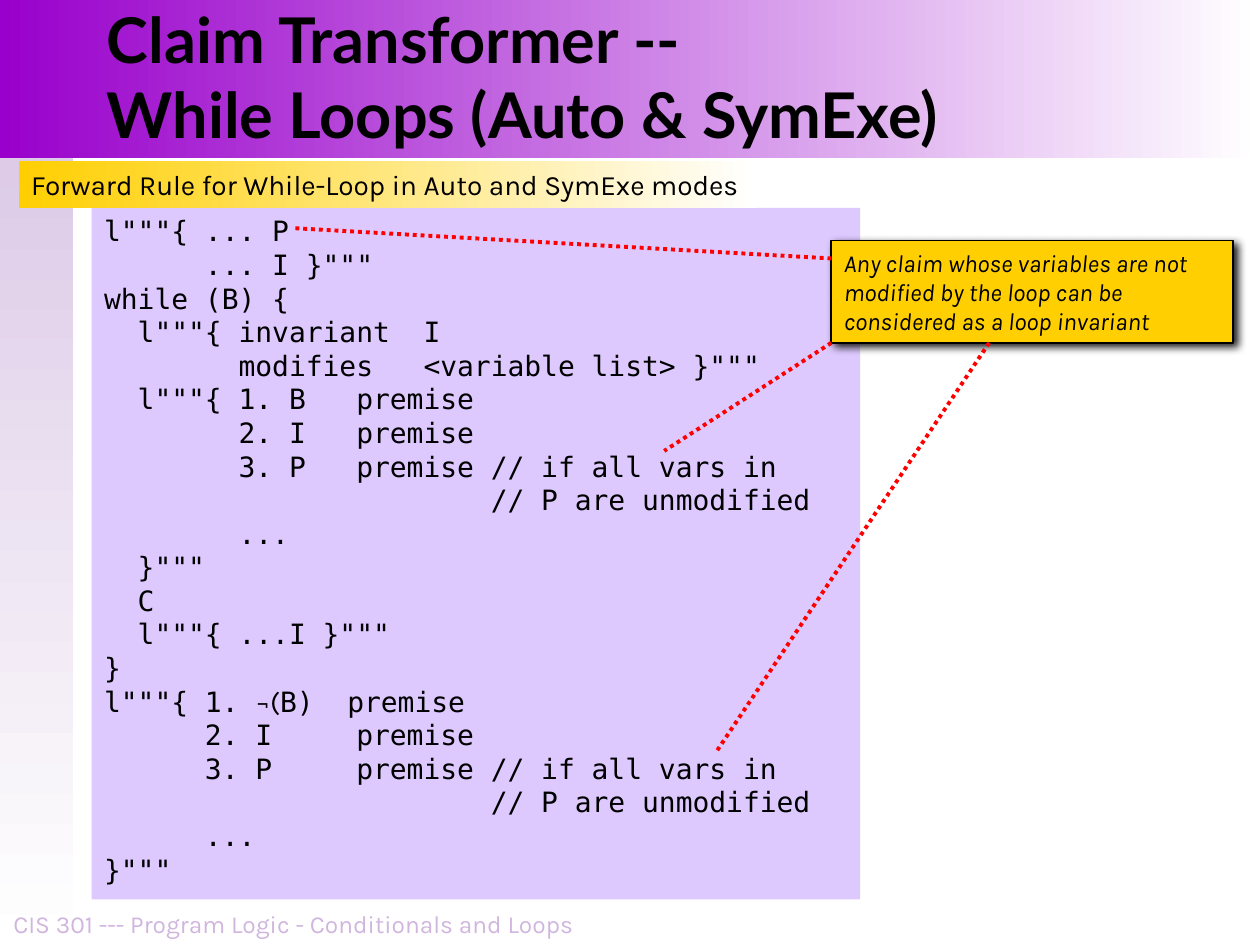
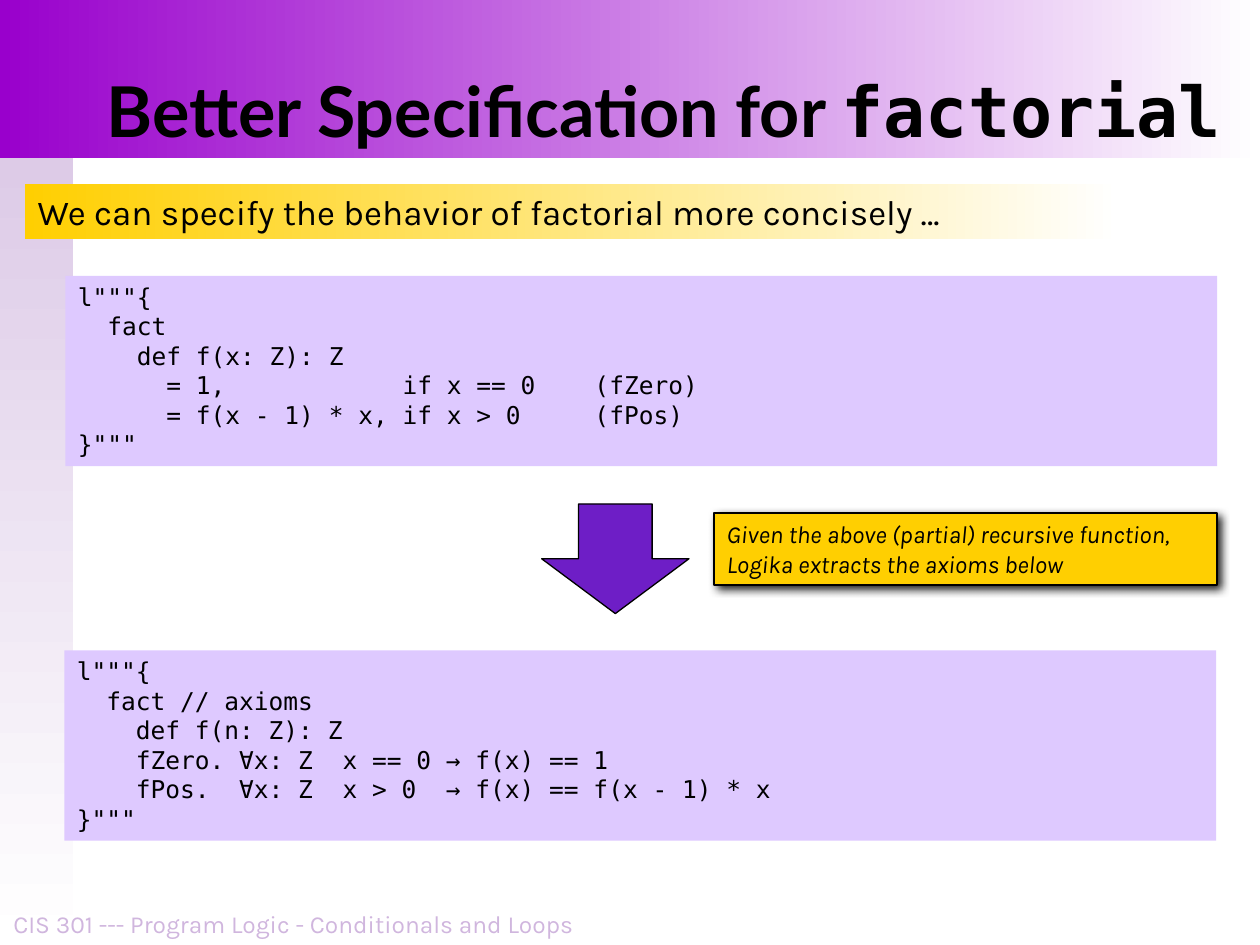
from lxml.etree import SubElement
from pptx import Presentation
from pptx.dml.color import RGBColor
from pptx.enum.dml import MSO_LINE_DASH_STYLE as Dash
from pptx.enum.shapes import MSO_CONNECTOR as Connector, MSO_SHAPE as Preset
from pptx.enum.text import MSO_ANCHOR as Anchor, MSO_AUTO_SIZE as AutoSize, PP_ALIGN as Align
from pptx.oxml.ns import qn
from pptx.util import Cm, Pt

# Shared look
SANS, MONO, TITLE_FONT = "Karla", "DejaVu Sans Mono", "Lato"
BLACK, WHITE, RED = "000000", "FFFFFF", "FF0000"
GOLD, LILAC, PURPLE = "FFCF01", "DEC9FF", "6E1EC6"
HEADER_PURPLE, SIDEBAR_LILAC, FOOTER_LILAC = "9900CC", "DDCBE7", "D0B6DE"
WIDTH, HEIGHT, HEADER_HEIGHT = 25.4, 19.05, 3.18
FOOTER = "CIS 301 --- Program Logic - Conditionals and Loops"


def color(hex_string):
    return RGBColor.from_string(hex_string)


def write(shape, text, font, size, ink=BLACK, bold=False, italic=False,
          align=Align.LEFT, anchor=Anchor.TOP, wrap=True, swap=None):
    """Set and format the text; swap = (words, font) sets some words in another font."""
    frame = shape.text_frame
    frame.text = text
    frame.word_wrap, frame.auto_size = wrap, AutoSize.NONE
    frame.vertical_anchor = anchor
    words, other_font = swap or (None, font)
    for paragraph, line in zip(frame.paragraphs, text.split("\n")):
        paragraph.alignment = align
        if words and words in line:
            before, _, after = line.partition(words)
            paragraph.text = before
            for part in filter(None, (words, after)):
                paragraph.add_run().text = part
        for run in paragraph.runs:
            run.font.name = other_font if run.text == words else font
            run.font.size = Pt(size)
            run.font.bold, run.font.italic = bold, italic
            run.font.color.rgb = color(ink)


def add_block(slide, box, fill, preset=Preset.RECTANGLE, outline=None):
    """Preset shape with a plain fill and, if given, a black outline of that width."""
    shape = slide.shapes.add_shape(preset, *map(Cm, box))
    shape.shadow.inherit = False
    shape.fill.solid()
    shape.fill.fore_color.rgb = color(fill)
    if outline:
        shape.line.width = Pt(outline)
        shape.line.color.rgb = color(BLACK)
    else:
        shape.line.fill.background()
    return shape


def add_fade(slide, box, start, angle=0):
    """Rectangle that fades from a colour to white."""
    shape = add_block(slide, box, start)
    shape.fill.gradient()
    shape.fill.gradient_angle = angle
    for stop, shade in zip(shape.fill.gradient_stops, (start, WHITE)):
        stop.color.rgb = color(shade)
    return shape


def add_bands(slide):
    """Side and header bands, placed on the layout behind everything else."""
    sidebar = add_fade(slide, (0, HEADER_HEIGHT, 1.48, HEIGHT - HEADER_HEIGHT),
                       SIDEBAR_LILAC, angle=270)
    header = add_fade(slide, (0, 0, WIDTH, HEADER_HEIGHT), HEADER_PURPLE)
    layout_tree = slide.slide_layout.shapes._spTree
    for position, band in enumerate((sidebar, header), start=2):
        layout_tree.insert(position, band._element)


def add_title_slide(presentation, title_text, size, width, swap=None):
    """Title-only slide with its title and footer."""
    slide = presentation.slides.add_slide(presentation.slide_layouts[5])
    title = slide.shapes.title
    title.left, title.top, title.width, title.height = map(
        Cm, (1.9, 0, width, HEADER_HEIGHT))
    write(title, title_text, TITLE_FONT, size, bold=True, anchor=Anchor.BOTTOM, swap=swap)
    footer = slide.shapes.add_textbox(*map(Cm, (0, 18.21, 11.84, 0.84)))
    write(footer, FOOTER, SANS, 14, FOOTER_LILAC, align=Align.CENTER,
          anchor=Anchor.BOTTOM, wrap=False)
    return slide


def add_heading(slide, box, text, size):
    write(add_fade(slide, box, GOLD), text, SANS, size)


def add_code(slide, box, code, size, swap=None):
    write(add_block(slide, box, LILAC), code, MONO, size, swap=swap)


def add_callout(slide, box, text, leaders=()):
    """Gold note with a drop shadow; leaders run between offsets from its corner."""
    note = add_block(slide, box, GOLD, outline=1)
    write(note, text, SANS, 14, italic=True, anchor=Anchor.MIDDLE)
    effects = note._element.spPr.find(qn("a:effectLst"))
    shadow = SubElement(effects, qn("a:outerShdw"), blurRad=str(Pt(5)), dist=str(Pt(2.8)),
                        dir="2700000", algn="tl", rotWithShape="0")
    SubElement(shadow, qn("a:srgbClr"), val="1C1C1C")

    left, top = box[:2]
    for (start_x, start_y), (end_x, end_y) in leaders:
        ends = (left + start_x, top + start_y, left + end_x, top + end_y)
        leader = slide.shapes.add_connector(Connector.STRAIGHT, *map(Cm, ends))
        leader.line.color.rgb = color(RED)
        leader.line.width = Pt(2.25)
        leader.line.dash_style = Dash.ROUND_DOT
        SubElement(leader._element.spPr, qn("a:effectLst"))


# Code shown on the slides
WHILE_RULE = '''l"""{ ... P
      ... I }"""
while (B) {
  l"""{ invariant  I
        modifies   <variable list> }"""
  l"""{ 1. B   premise
        2. I   premise
        3. P   premise // if all vars in
                       // P are unmodified
        ...
  }"""
  C
  l"""{ ...I }"""
}
l"""{ 1. ¬(B)  premise
      2. I     premise
      3. P     premise // if all vars in
                       // P are unmodified
      ...
}"""'''

FACTORIAL_DEFINITION = '''l"""{
  fact
    def f(x: Z): Z
      = 1,            if x == 0    (fZero)
      = f(x - 1) * x, if x > 0     (fPos)
}"""'''

FACTORIAL_AXIOMS = '''l"""{
  fact // axioms
    def f(n: Z): Z
    fZero. ∀x: Z  x == 0 → f(x) == 1
    fPos.  ∀x: Z  x > 0  → f(x) == f(x - 1) * x
}"""'''


def build_while_slide(presentation):
    slide = add_title_slide(presentation,
                            "Claim Transformer --\vWhile Loops (Auto & SymExe)", 36, 22.66)
    add_bands(slide)
    add_code(slide, (1.85, 4.19, 15.49, 13.94), WHILE_RULE, 16, swap=("¬(", SANS))
    add_heading(slide, (0.38, 3.25, 14.88, 0.94),
                "Forward Rule for While-Loop in Auto and SymExe modes", 16)
    add_callout(slide, (16.76, 4.85, 8.1, 2.06),
                "Any claim whose variables are not modified by the loop "
                "can be considered as a loop invariant",
                leaders=[((0, 0.36), (-10.84, -0.25)),
                         ((3.18, 2.06), (-2.31, 10.29)),
                         ((0, 2.06), (-3.37, 4.24))])


def build_factorial_slide(presentation):
    slide = add_title_slide(presentation, "Better Specification for factorial", 40, 23.5,
                            swap=("factorial", MONO))
    add_heading(slide, (0.51, 3.71, 22.07, 1.12),
                "We can specify the behavior of factorial more concisely …", 20)
    add_code(slide, (1.3, 13.11, 23.22, 3.84), FACTORIAL_AXIOMS, 14)
    add_code(slide, (1.32, 5.56, 23.22, 3.84), FACTORIAL_DEFINITION, 14)
    add_block(slide, (10.92, 10.16, 2.97, 2.21), PURPLE, Preset.DOWN_ARROW, outline=0.75)
    add_callout(slide, (14.4, 10.34, 10.13, 1.45),
                "Given the above (partial) recursive function,\v"
                "Logika extracts the axioms below")


def main():
    presentation = Presentation()
    presentation.slide_width, presentation.slide_height = Cm(WIDTH), Cm(HEIGHT)
    build_while_slide(presentation)
    build_factorial_slide(presentation)
    presentation.save("out.pptx")


if __name__ == "__main__":
    main()
